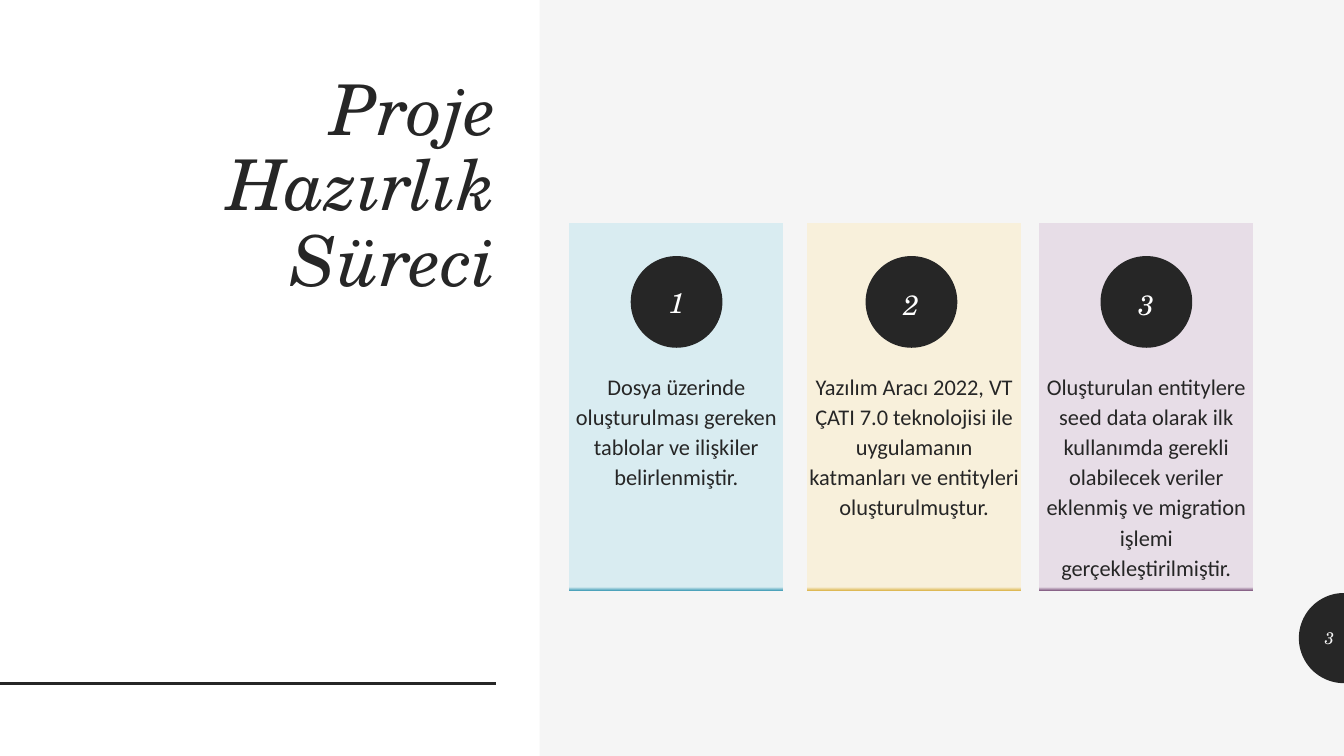
from copy import deepcopy
from math import cos, pi, sin

from pptx import Presentation
from pptx.dml.color import RGBColor
from pptx.enum.shapes import MSO_CONNECTOR, MSO_SHAPE
from pptx.enum.text import MSO_ANCHOR, PP_ALIGN
from pptx.oxml.ns import qn
from pptx.util import Pt
from lxml.etree import SubElement

DARK, WHITE, PALE = "262626", "FFFFFF", "F5F5F5"
SERIF = {"name": "TeX Gyre Schola", "italic": True}
SANS = {"name": "Calibri", "italic": False}
CARDS = [
    (406.6, "D9ECF1", "439EB7", 1.0,
     "Dosya üzerinde oluşturulması gereken tablolar ve ilişkiler belirlenmiştir."),
    (576.5, "F8F0DB", "DCB64D", 1.12,
     "Yazılım Aracı 2022, VT ÇATI 7.0 teknolojisi ile uygulamanın katmanları "
     "ve entityleri oluşturulmuştur."),
    (742.3, "E7DDE7", "835B82", 1.12,
     "Oluşturulan entitylere seed data olarak ilk kullanımda gerekli olabilecek "
     "veriler eklenmiş ve migration işlemi gerçekleştirilmiştir."),
]


def rgb(value):
    """Return the colour for a hex string."""
    return RGBColor.from_string(value)


def set_attrs(obj, values):
    """Set each attribute named in a dict."""
    for name, value in values.items():
        setattr(obj, name, value)


def write(sp, text, size, color, font, align, anchor, spacing=1.0, margins=(0, 0, 0, 0)):
    """Put one formatted paragraph into a shape."""
    tf = sp.text_frame
    sides = ("margin_left", "margin_top", "margin_right", "margin_bottom")
    set_attrs(tf, {"word_wrap": True, "vertical_anchor": anchor,
                   **{side: Pt(m) for side, m in zip(sides, margins)}})
    p = tf.paragraphs[0]
    set_attrs(p, {"alignment": align, "line_spacing": spacing})
    r = p.add_run()
    r.text = text
    set_attrs(r.font, {"size": Pt(size), **font})
    r.font.color.rgb = rgb(color)


def paint(sp, color):
    """Give a shape a solid fill with no line or shadow."""
    sp.shadow.inherit = False
    sp.fill.solid()
    sp.fill.fore_color.rgb = rgb(color)
    sp.line.fill.background()


def add_block(s, kind, x, y, w, h, color):
    """Add a plain filled preset shape."""
    sp = s.shapes.add_shape(kind, Pt(x), Pt(y), Pt(w), Pt(h))
    paint(sp, color)
    return sp


def add_label(s, x, y, w, h, *args, **kwargs):
    """Add a text box with one paragraph."""
    write(s.shapes.add_textbox(Pt(x), Pt(y), Pt(w), Pt(h)), *args, **kwargs)


def add_rule(s, x1, x2, y):
    """Add a horizontal dark line."""
    ln = s.shapes.add_connector(MSO_CONNECTOR.STRAIGHT, Pt(x1), Pt(y), Pt(x2), Pt(y))
    ln.line.width = Pt(2)
    ln.line.color.rgb = rgb(DARK)
    SubElement(ln._element.spPr, qn("a:effectLst"))


def add_half_disc(s, x, y, radius, steps=48):
    """Add the left half of a disc centred at x, y."""
    angles = [pi / 2 + pi * i / steps for i in range(steps + 1)]
    points = [(Pt(x + radius * cos(a)), Pt(y + radius * sin(a))) for a in angles]
    fb = s.shapes.build_freeform(*points[0])
    fb.add_line_segments(points[1:], close=True)
    paint(fb.convert_to_shape(), DARK)


def shade(sp, color, edge):
    """Fill a shape with one colour that ends in a coloured bottom edge."""
    sp.fill.gradient()
    sp.fill.gradient_angle = 270
    first = sp._element.spPr.xpath(".//a:gs")[0]
    first.addnext(deepcopy(first))
    for stop, position, value in zip(sp.fill.gradient_stops, (0, 0.99, 1), (color, color, edge)):
        stop.position = position
        stop.color.rgb = rgb(value)


def add_card(s, number, x, color, edge, spacing, text):
    """Add a step card with its numbered disc."""
    card = add_block(s, MSO_SHAPE.RECTANGLE, x, 159.2, 153, 262.8, color)
    shade(card, color, edge)
    write(card, text, 16, DARK, SANS, PP_ALIGN.CENTER, MSO_ANCHOR.TOP, 1.12, (0, 105.1, 0, 0))
    disc = add_block(s, MSO_SHAPE.OVAL, 450.5 + 167.8 * (number - 1), 182.9, 65.5, 65.5, DARK)
    write(disc, str(number), 20, WHITE, SERIF, PP_ALIGN.CENTER, MSO_ANCHOR.MIDDLE, spacing)


def main():
    """Build and save the slide."""
    prs = Presentation()
    set_attrs(prs, {"slide_width": Pt(960), "slide_height": Pt(540)})
    s = prs.slides.add_slide(prs.slide_layouts[6])
    s.background.fill.solid()
    s.background.fill.fore_color.rgb = rgb(PALE)
    add_half_disc(s, 960, 455.8, 32.2)
    add_block(s, MSO_SHAPE.RECTANGLE, 0, 0, 385.5, 540, WHITE)
    add_rule(s, 0, 354.3, 488.2)
    insets = (7.2, 3.6, 7.2, 3.6)
    add_label(s, 59.8, 43.9, 301.7, 175, "Proje Hazırlık Süreci", 50, DARK, SERIF,
              PP_ALIGN.RIGHT, MSO_ANCHOR.BOTTOM, 0.9, insets)
    for number, card in enumerate(CARDS, 1):
        add_card(s, number, *card)
    add_label(s, 927.8, 441.4, 32.2, 28.8, "3", 12, PALE, SERIF,
              PP_ALIGN.RIGHT, MSO_ANCHOR.MIDDLE, margins=insets)
    prs.save("out.pptx")


if __name__ == "__main__":
    main()
